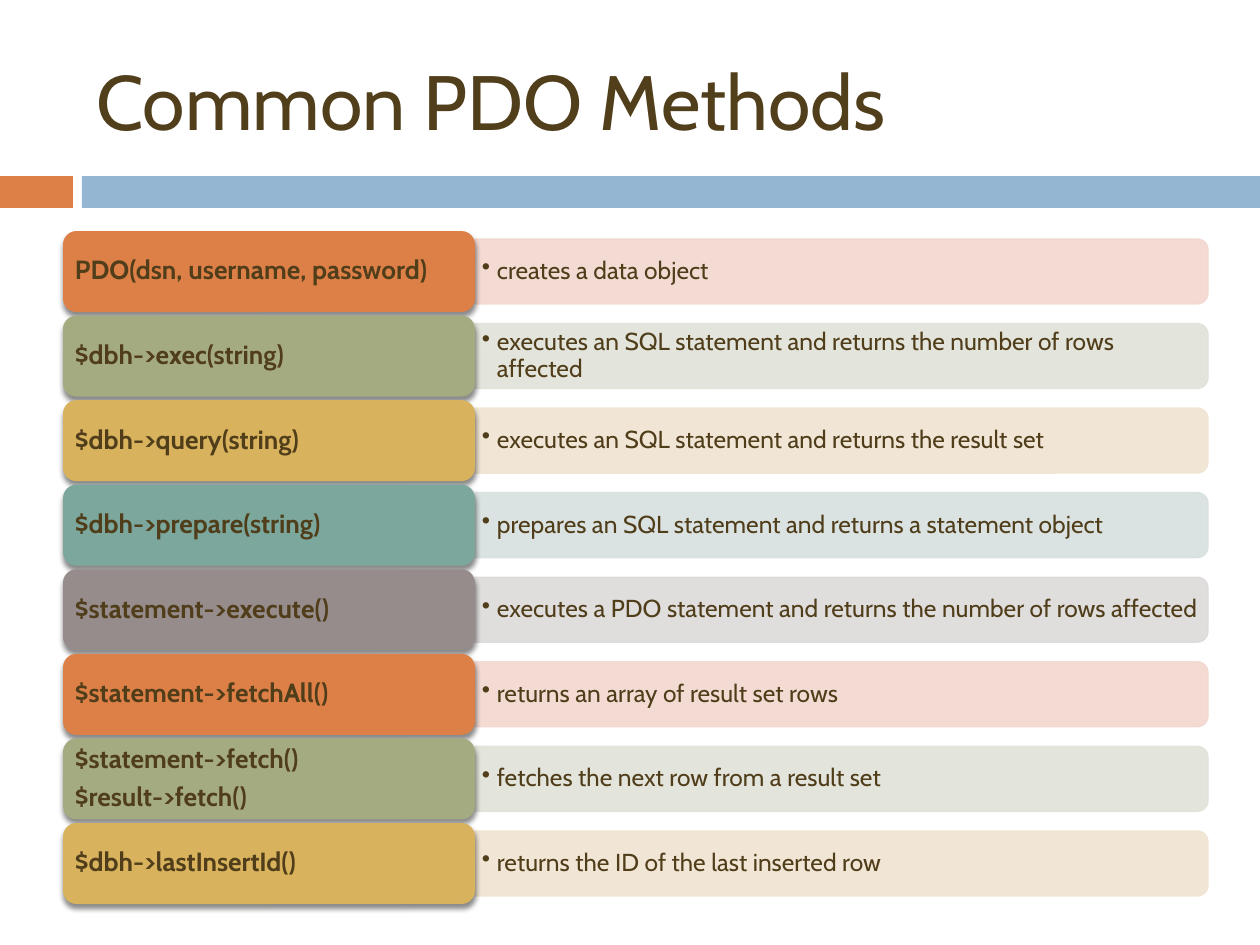
from lxml import etree
from pptx import Presentation
from pptx.dml.color import RGBColor
from pptx.enum.shapes import MSO_SHAPE
from pptx.enum.text import MSO_ANCHOR, MSO_AUTO_SIZE, PP_ALIGN
from pptx.oxml.ns import qn
from pptx.util import Emu, Pt

# Content
TITLE = "Common PDO Methods"
METHODS = [
    ("PDO(dsn, username, password)", "creates a data object"),
    ("$dbh->exec(string)",
     "executes an SQL statement and returns the number of rows affected"),
    ("$dbh->query(string)", "executes an SQL statement and returns the result set"),
    ("$dbh->prepare(string)", "prepares an SQL statement and returns a statement object"),
    ("$statement->execute()",
     "executes a PDO statement and returns the number of rows affected"),
    ("$statement->fetchAll()", "returns an array of result set rows"),
    ("$statement->fetch()\n$result->fetch()", "fetches the next row from a result set"),
    ("$dbh->lastInsertId()", "returns the ID of the last inserted row"),
]

# Style
FONT = "Cabin"
COLORS = {"title": "513E1B", "text": "503D1A", "orange": "DD8047", "blue": "94B6D2",
          "green": "A5AB81", "gold": "D8B25C", "teal": "7BA79D", "gray": "968C8C",
          "pale orange": "F2D8CF", "pale green": "E1E2D8", "pale gold": "F0E4D2",
          "pale teal": "D7E1DF", "pale gray": "DDDADA"}
ROW_COLORS = ["orange", "green", "gold", "teal", "gray"]

# Layout in px
PX_PER_INCH = 126
FIRST_TOP, LAST_TOP = 231, 823
LABEL_LEFT, LABEL_WIDTH, LABEL_HEIGHT = 63, 412, 81
BAND_LEFT, BAND_WIDTH, BAND_HEIGHT = 475, 733, 65
TEXT_WIDTH, TEXT_HEIGHT = 730, 58
HANG = 15


def px(value):
    return Emu(round(value * 914400 / PX_PER_INCH))


def color(name):
    return RGBColor.from_string(COLORS[name])


def add_block(slide, preset, box, fill):
    block = slide.shapes.add_shape(preset, *map(px, box))
    block.shadow.inherit = False
    block.fill.solid()
    block.fill.fore_color.rgb = color(fill)
    block.line.fill.background()
    return block


def add_shadow(shape):
    effects = shape._element.spPr.find(qn("a:effectLst"))
    shadow = etree.SubElement(effects, qn("a:outerShdw"), blurRad=str(Pt(3)),
                              dist=str(Pt(2.4)), dir="5400000", rotWithShape="0")
    black = etree.SubElement(shadow, qn("a:srgbClr"), val="000000")
    etree.SubElement(black, qn("a:alpha"), val="45000")


def write(shape, words, size, after, insets, bold=False):
    frame = shape.text_frame
    frame.text = words
    frame.word_wrap = True
    frame.vertical_anchor = MSO_ANCHOR.MIDDLE
    frame.margin_left = frame.margin_right = px(insets[0])
    frame.margin_top = frame.margin_bottom = px(insets[1])
    for paragraph in frame.paragraphs:
        paragraph.alignment = PP_ALIGN.LEFT
        paragraph.line_spacing = 0.9
        paragraph.space_after = Pt(after)
        paragraph.font.name = FONT
        paragraph.font.size = Pt(size)
        paragraph.font.bold = bold
        paragraph.font.color.rgb = color("text")
    return frame


def add_bullet(paragraph):
    properties = paragraph._p.get_or_add_pPr()
    properties.set("marL", str(px(HANG)))
    properties.set("indent", str(-px(HANG)))
    bullet = etree.Element(qn("a:buChar"), char="•")
    properties.find(qn("a:defRPr")).addprevious(bullet)


def add_band(slide, middle, fill):
    # A quarter turn puts the two rounded corners on the right
    center = BAND_LEFT + BAND_WIDTH / 2
    box = (center - BAND_HEIGHT / 2, middle - BAND_WIDTH / 2, BAND_HEIGHT, BAND_WIDTH)
    band = add_block(slide, MSO_SHAPE.ROUND_2_SAME_RECTANGLE, box, fill)
    band.rotation = 90
    band.line.color.rgb = color(fill)
    band.line.width = Pt(0.79)
    for paint in band._element.spPr.iter(qn("a:srgbClr")):
        etree.SubElement(paint, qn("a:alpha"), val="90000")


def add_method(slide, top, method, purpose, name):
    middle = top + LABEL_HEIGHT / 2
    add_band(slide, middle, "pale " + name)

    description = slide.shapes.add_textbox(
        px(BAND_LEFT), px(middle - TEXT_HEIGHT / 2), px(TEXT_WIDTH), px(TEXT_HEIGHT))
    add_bullet(write(description, purpose, 14, 2.1, (7, 4)).paragraphs[0])

    label = add_block(slide, MSO_SHAPE.ROUNDED_RECTANGLE,
                      (LABEL_LEFT, top, LABEL_WIDTH, LABEL_HEIGHT), name)
    add_shadow(label)
    write(label, method, 15, 5.25, (8, 4), bold=True)


def main():
    deck = Presentation()
    deck.slide_width, deck.slide_height = px(1260), px(945)
    slide = deck.slides.add_slide(deck.slide_layouts[5])

    # Header bars
    add_block(slide, MSO_SHAPE.RECTANGLE, (0, 176, 73, 32), "orange")
    add_block(slide, MSO_SHAPE.RECTANGLE, (82, 176, 1178, 32), "blue")

    # Title
    title = slide.shapes.title
    title.left, title.top, title.width, title.height = map(px, (84, 32, 1156, 136))
    title.text_frame.text = TITLE
    title.text_frame.auto_size = MSO_AUTO_SIZE.NONE
    title.text_frame.vertical_anchor = MSO_ANCHOR.MIDDLE
    heading = title.text_frame.paragraphs[0]
    heading.alignment = PP_ALIGN.LEFT
    heading.font.name = FONT
    heading.font.size = Pt(44)
    heading.font.color.rgb = color("title")

    # Method rows
    pitch = (LAST_TOP - FIRST_TOP) / (len(METHODS) - 1)
    for row, (method, purpose) in enumerate(METHODS):
        add_method(slide, FIRST_TOP + row * pitch, method, purpose,
                   ROW_COLORS[row % len(ROW_COLORS)])

    deck.save("out.pptx")


if __name__ == "__main__":
    main()
